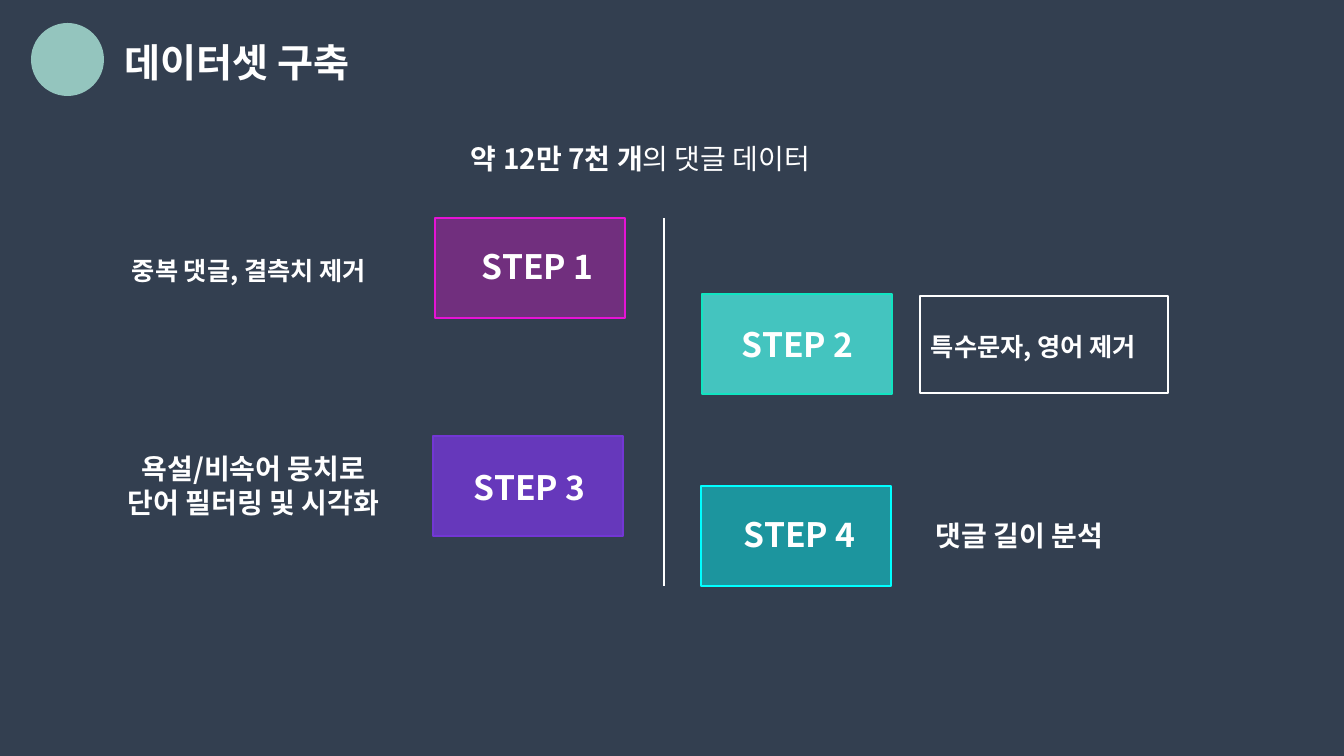
from dataclasses import dataclass
from typing import NamedTuple

from lxml import etree
from pptx import Presentation, util as u
from pptx.dml.color import RGBColor
from pptx.enum import shapes, text
from pptx.oxml import ns

EMU_PER_PX = 914400 / 100.8


@dataclass(frozen=True)
class Theme:
    font: str = "Noto Sans CJK KR"
    background: str = "333F50"
    white: str = "FFFFFF"
    circle: str = "94C5BE"
    line_width: float = 1.5
    title: int = 28
    step: int = 24
    body: int = 20
    small: int = 18


class Box(NamedTuple):
    left: int
    top: int
    width: int
    height: int


class Piece(NamedTuple):
    words: str
    bold: bool = True


class Step(NamedTuple):
    name: str
    left: int
    top: int
    label_left: int
    label_top: int
    fill: str
    line: str
    opacity: int


class Caption(NamedTuple):
    box: Box
    size: int
    lines: list[list[Piece]]
    align: text.PP_ALIGN = text.PP_ALIGN.LEFT


THEME = Theme()
STEP_WIDTH, STEP_HEIGHT = 190, 100
LABEL_WIDTH, LABEL_HEIGHT = 188, 50

STEPS = [
    Step("STEP 1", 435, 218, 472, 241, "E613D5", "E613D5", 35),
    Step("STEP 2", 702, 294, 732, 319, "44C4BF", "11E4C1", 100),
    Step("STEP 3", 433, 436, 464, 462, "7337D4", "7337D4", 81),
    Step("STEP 4", 701, 486, 734, 509, "00FFFF", "00FFFF", 45),
]

CAPTIONS = [
    Caption(Box(461, 137, 421, 44), THEME.body,
            [[Piece("약 12만 7천 개"), Piece("의 댓글 데이터", False)]]),
    Caption(Box(122, 250, 307, 40), THEME.small, [[Piece("중복 댓글, 결측치 제거")]]),
    Caption(Box(921, 326, 247, 40), THEME.small, [[Piece("특수문자, 영어 제거")]]),
    Caption(Box(926, 514, 312, 44), THEME.body, [[Piece("댓글 길이 분석")]]),
    Caption(Box(86, 447, 335, 78), THEME.body,
            [[Piece("욕설/비속어 뭉치로")], [Piece("단어 필터링 및 시각화")]],
            text.PP_ALIGN.CENTER),
]


def px(length: int) -> int:
    return round(length * EMU_PER_PX)


def place(box: Box) -> list[int]:
    return [px(length) for length in box]


def apply(target, values: dict) -> None:
    for name, value in values.items():
        setattr(target, name, value)


def write(shape, caption: Caption) -> None:
    frame = shape.text_frame
    apply(frame, {"word_wrap": True, "auto_size": text.MSO_AUTO_SIZE.NONE,
                  "vertical_anchor": text.MSO_ANCHOR.TOP})
    for index, pieces in enumerate(caption.lines):
        paragraph = frame.add_paragraph() if index else frame.paragraphs[0]
        apply(paragraph, {"alignment": caption.align, "line_spacing": 1.0,
                          "space_before": u.Pt(0)})
        for piece in pieces:
            run = paragraph.add_run()
            run.text = piece.words
            apply(run.font, {"name": THEME.font, "size": u.Pt(caption.size),
                             "bold": piece.bold})
            run.font.color.rgb = RGBColor.from_string(THEME.white)
            properties = run.font._element
            etree.SubElement(properties, ns.qn("a:ea"), typeface=THEME.font)


def add_caption(slide, caption: Caption) -> None:
    write(slide.shapes.add_textbox(*place(caption.box)), caption)


def draw_line(line, color: str) -> None:
    line.color.rgb = RGBColor.from_string(color)
    line.width = u.Pt(THEME.line_width)


def add_panel(slide, kind, box: Box, fill: str | None, line: str | None,
              opacity: int = 100) -> None:
    shape = slide.shapes.add_shape(kind, *place(box))
    shape.shadow.inherit = False
    if fill:
        shape.fill.solid()
        shape.fill.fore_color.rgb = RGBColor.from_string(fill)
        if opacity < 100:
            color = shape._element.spPr.find(ns.qn("a:solidFill"))[0]
            etree.SubElement(color, ns.qn("a:alpha"), val=str(opacity * 1000))
    else:
        shape.fill.background()
    if line:
        draw_line(shape.line, line)
    else:
        shape.line.fill.background()


def add_divider(slide, x: int, top: int, bottom: int) -> None:
    divider = slide.shapes.add_connector(
        shapes.MSO_CONNECTOR.STRAIGHT, px(x), px(top), px(x), px(bottom))
    draw_line(divider.line, THEME.white)
    etree.SubElement(divider._element.spPr, ns.qn("a:effectLst"))


def add_title(slide, caption: Caption) -> None:
    title = slide.shapes.title
    apply(title, dict(zip(Box._fields, place(caption.box))))
    write(title, caption)


def main() -> None:
    presentation = Presentation()
    apply(presentation, {"slide_width": px(1344), "slide_height": px(756)})
    slide = presentation.slides.add_slide(presentation.slide_layouts[5])
    slide.background.fill.solid()
    slide.background.fill.fore_color.rgb = RGBColor.from_string(THEME.background)

    rectangle = shapes.MSO_SHAPE.RECTANGLE
    add_title(slide, Caption(Box(114, 33, 357, 56), THEME.title,
                             [[Piece("데이터셋 구축")]]))
    add_panel(slide, shapes.MSO_SHAPE.OVAL, Box(31, 23, 73, 73), THEME.circle, None)
    add_divider(slide, 664, 218, 586)
    for step in STEPS:
        add_panel(slide, rectangle, Box(step.left, step.top, STEP_WIDTH, STEP_HEIGHT),
                  step.fill, step.line, step.opacity)
        add_caption(slide, Caption(
            Box(step.label_left, step.label_top, LABEL_WIDTH, LABEL_HEIGHT),
            THEME.step, [[Piece(step.name)]]))
    for caption in CAPTIONS:
        add_caption(slide, caption)
    add_panel(slide, rectangle, Box(920, 296, 248, 97), None, THEME.white)
    presentation.save("out.pptx")


if __name__ == "__main__":
    main()
